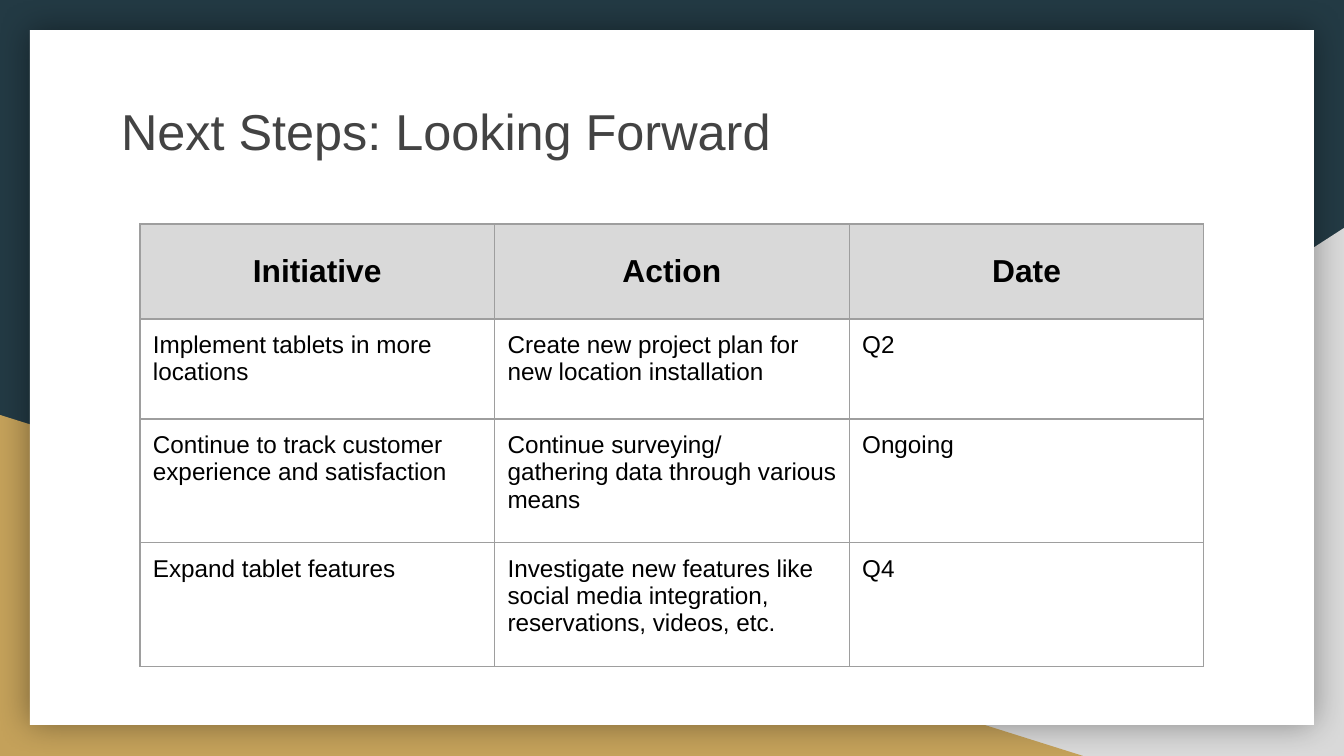
from lxml import etree
from pptx import Presentation
from pptx.dml.color import RGBColor
from pptx.enum.shapes import MSO_SHAPE
from pptx.enum.text import MSO_ANCHOR, PP_ALIGN
from pptx.oxml import parse_xml
from pptx.oxml.ns import nsdecls, qn
from pptx.util import Pt

RECT, WEDGE = MSO_SHAPE.RECTANGLE, MSO_SHAPE.RIGHT_TRIANGLE
TOP, MIDDLE = MSO_ANCHOR.TOP, MSO_ANCHOR.MIDDLE
LEFT, CENTER = PP_ALIGN.LEFT, PP_ALIGN.CENTER

# Content
TITLE = "Next Steps: Looking Forward"
ROWS = [
    ("Initiative", "Action", "Date"),
    ("Implement tablets in more locations",
     "Create new project plan for new location installation", "Q2"),
    ("Continue to track customer experience and satisfaction",
     "Continue surveying/\ngathering data through various means", "Ongoing"),
    ("Expand tablet features",
     "Investigate new features like social media integration, "
     "reservations, videos, etc.", "Q4"),
]
HEIGHTS = [95, 100, 124, 124]
FONT = "Arial"
NAVY, GOLD, GRAY, WHITE = "233A44", "C4A15A", "D9D9D9", "FFFFFF"
DARK, BLACK, RULE = "434343", "000000", "9E9E9E"
PAD = 13


def px(n):
    return round(n * 914400 / 134.4)


def paint(fill, color):
    fill.solid()
    fill.fore_color.rgb = RGBColor.from_string(color)


def style(para, size, color, bold=False, align=LEFT):
    para.alignment = align
    font = para.font
    font.name, font.size, font.bold = FONT, Pt(size), bold
    font.color.rgb = RGBColor.from_string(color)


def block(kind, box, color):
    shape = slide.shapes.add_shape(kind, *map(px, box))
    shape.shadow.inherit = False
    paint(shape.fill, color)
    shape.line.fill.background()
    return shape


def pad(obj):
    obj.margin_left = obj.margin_right = px(PAD)
    obj.margin_top = obj.margin_bottom = px(PAD)


def border(cell):
    props = cell._tc.get_or_add_tcPr()
    for i, side in enumerate(("lnL", "lnR", "lnT", "lnB")):
        props.insert(i, parse_xml(
            f'<a:{side} {nsdecls("a")} w="{Pt(0.75)}"><a:solidFill>'
            f'<a:srgbClr val="{RULE}"/></a:solidFill></a:{side}>'))


deck = Presentation()
deck.slide_width, deck.slide_height = px(1344), px(756)
slide = deck.slides.add_slide(deck.slide_layouts[5])
paint(slide.background.fill, NAVY)

# Corner wedges and the white card with its soft shadow
right = block(WEDGE, (527, 228, 817, 528), GRAY)
right._element.spPr.find(qn("a:xfrm")).set("flipH", "1")
block(WEDGE, (0, 415, 1083, 341), GOLD)
card = block(RECT, (30, 30, 1284, 695), WHITE)
glow = etree.SubElement(card._element.spPr.find(qn("a:effectLst")),
                        qn("a:outerShdw"), blurRad=str(Pt(18)), dist="0",
                        dir="0", algn="ctr", rotWithShape="0")
tint = etree.SubElement(glow, qn("a:srgbClr"), val=BLACK)
etree.SubElement(tint, qn("a:alpha"), val="40000")

# Title, raised above the card
title = slide.shapes.title
slide.shapes._spTree.append(title._element)
title.left, title.top, title.width, title.height = map(px, (108, 81, 1130, 79))
frame = title.text_frame
frame.text, frame.word_wrap, frame.vertical_anchor = TITLE, True, TOP
pad(frame)
style(frame.paragraphs[0], 27, DARK)
frame.paragraphs[0].line_spacing = 1.1

# Table
grid = slide.shapes.add_table(len(ROWS), len(ROWS[0]), px(140), px(224),
                              px(1064), px(sum(HEIGHTS))).table
grid.horz_banding = False
for r, (texts, height) in enumerate(zip(ROWS, HEIGHTS)):
    grid.rows[r].height = px(height)
    head = r == 0
    for c, text in enumerate(texts):
        cell = grid.cell(r, c)
        cell.text = text
        pad(cell)
        cell.vertical_anchor = MIDDLE if head else TOP
        paint(cell.fill, GRAY if head else WHITE)
        border(cell)
        for para in cell.text_frame.paragraphs:
            style(para, 17 if head else 13, BLACK, head,
                  CENTER if head else LEFT)

deck.save("out.pptx")
